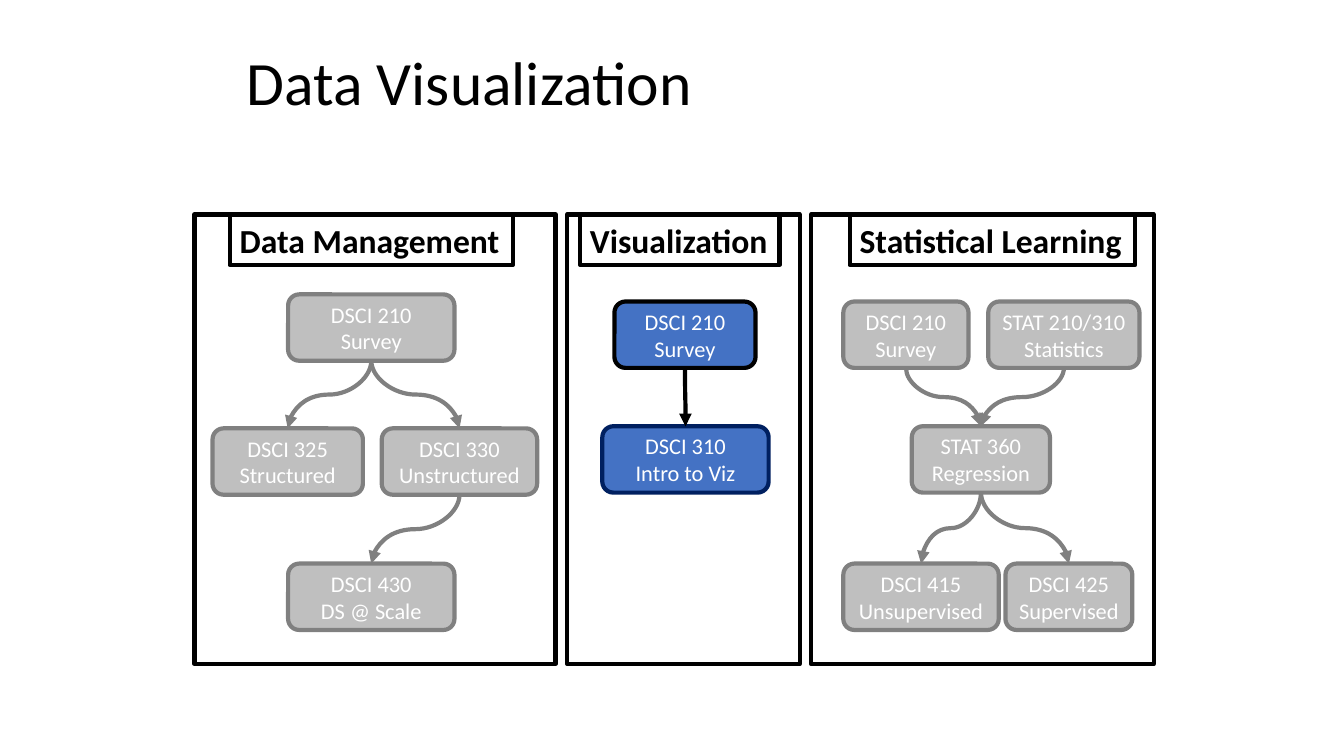
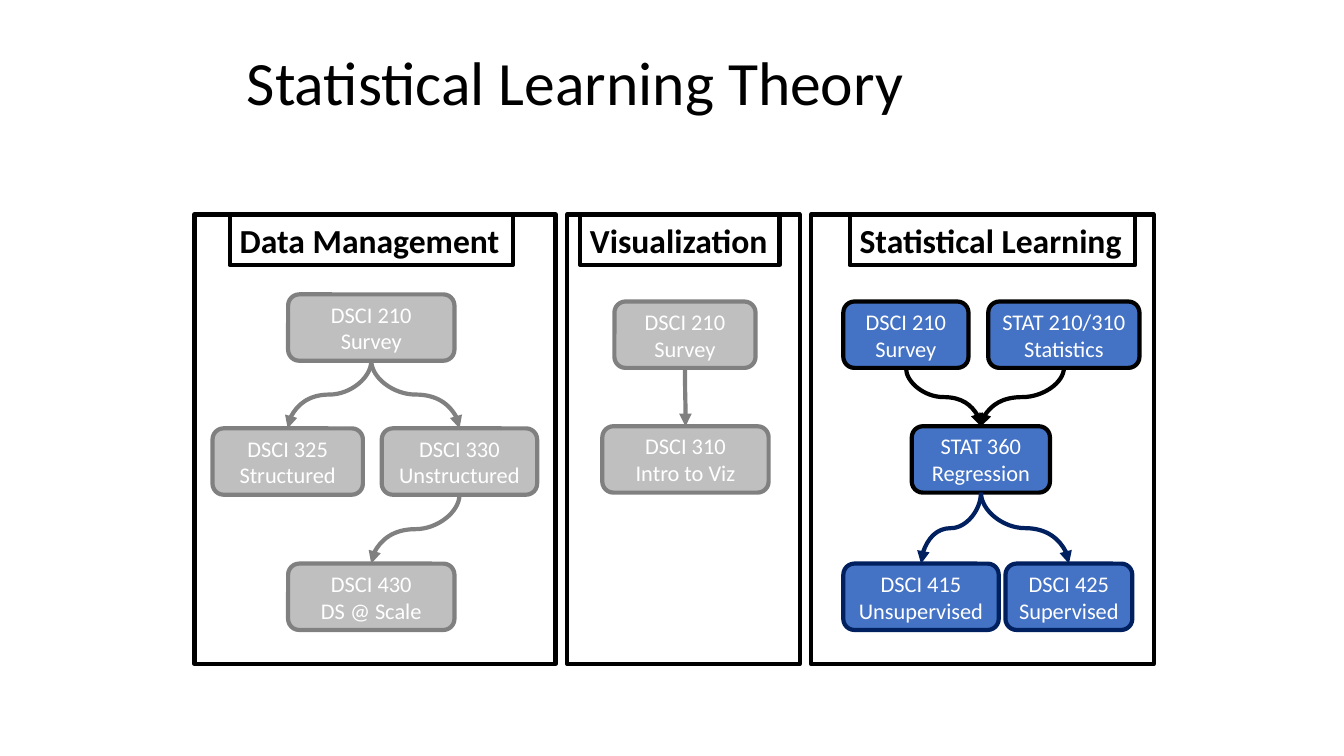
"""Build two slides of course pathways, each highlighting one panel."""
from dataclasses import dataclass

from lxml.etree import SubElement
from pptx import Presentation
from pptx.dml.color import RGBColor as Rgb
from pptx.enum.shapes import MSO_CONNECTOR as Link, MSO_SHAPE as Preset
from pptx.enum.text import MSO_ANCHOR as Anchor, MSO_AUTO_SIZE as Fit, PP_ALIGN as Align
from pptx.oxml.ns import qn
from pptx.util import Inches, Pt


@dataclass(frozen=True)
class Theme:
    font: str = "Calibri"
    ink: Rgb = Rgb(0, 0, 0)
    paper: Rgb = Rgb(0xFF, 0xFF, 0xFF)
    muted_fill: Rgb = Rgb(0xBF, 0xBF, 0xBF)
    muted_line: Rgb = Rgb(0x80, 0x80, 0x80)
    active_fill: Rgb = Rgb(0x44, 0x72, 0xC4)
    navy: Rgb = Rgb(0x00, 0x20, 0x60)
    title_size: int = 44
    heading_size: int = 24
    course_size: int = 16
    stroke: int = 3


@dataclass(frozen=True)
class Course:
    code: str
    topic: str
    row: int
    column: float
    columns: float


@dataclass(frozen=True)
class Panel:
    heading: str
    columns: float
    heading_column: float
    heading_columns: float
    row_tops: tuple
    courses: tuple
    links: tuple


THEME = Theme()
GRID_COLUMNS, GRID_ROWS = 160, 90
SLIDE_WIDTH, SLIDE_HEIGHT = Inches(13.333), Inches(7.5)
CELL = SLIDE_HEIGHT / GRID_ROWS
FIRST_COLUMN, PANEL_GAP = 23.15, 1.35
PANEL_TOP, PANEL_ROWS, HEADING_ROWS, COURSE_ROWS = 25.55, 53.5, 6, 7.9
BOTTOM_SITE, TOP_SITE = 2, 0

PANELS = (
    Panel("Data Management", 43, 4.2, 33.7, (35.05, 51, 67.1),
          (Course("DSCI 210", "Survey", 0, 11.15, 19.8),
           Course("DSCI 325", "Structured", 1, 2.15, 17.9),
           Course("DSCI 330", "Unstructured", 1, 22.3, 18.5),
           Course("DSCI 430", "DS @ Scale", 2, 11.15, 19.8)),
          ((0, 1), (0, 2), (2, 3))),
    Panel("Visualization", 27.7, 1.55, 23.75, (35.9, 50.75),
          (Course("DSCI 210", "Survey", 0, 5.65, 16.8),
           Course("DSCI 310", "Intro to Viz", 1, 4.2, 19.8)),
          ((0, 1),)),
    Panel("Statistical Learning", 40.8, 4.6, 34, (35.9, 50.75, 67.1),
          (Course("DSCI 210", "Survey", 0, 3.85, 14.9),
           Course("STAT 210/310", "Statistics", 0, 21.1, 18),
           Course("STAT 360", "Regression", 1, 12, 16.45),
           Course("DSCI 415", "Unsupervised", 2, 3.85, 18.5),
           Course("DSCI 425", "Supervised", 2, 23.15, 15.1)),
          ((0, 2), (1, 2), (2, 3), (2, 4))),
)

SLIDES = (("Data Visualization", "Visualization"),
          ("Statistical Learning Theory", "Statistical Learning"))


def cells(*lengths):
    return [round(length * CELL) for length in lengths]


def outline(part, color):
    part.line.color.rgb = color
    part.line.width = Pt(THEME.stroke)


def write(frame, lines, size, color, bold=False, align=Align.LEFT):
    frame.text = "\n".join(lines)
    for paragraph in frame.paragraphs:
        paragraph.alignment = align
        font = paragraph.font
        font.name, font.size, font.bold = THEME.font, Pt(size), bold
        font.color.rgb = color


def add_title(slide, text):
    frame = slide.shapes.add_textbox(*cells(28.2, 4.8, 103.5, 10.7)).text_frame
    frame.word_wrap = True
    frame.vertical_anchor = Anchor.MIDDLE
    write(frame, [text], THEME.title_size, THEME.ink)
    frame.paragraphs[0].line_spacing = 0.9


def add_heading(shapes, panel, left):
    heading = shapes.add_textbox(*cells(left + panel.heading_column, PANEL_TOP,
                                        panel.heading_columns, HEADING_ROWS))
    outline(heading, THEME.ink)
    frame = heading.text_frame
    frame.word_wrap = False
    frame.auto_size = Fit.SHAPE_TO_FIT_TEXT
    write(frame, [panel.heading], THEME.heading_size, THEME.ink, bold=True)


def add_course(shapes, course, left, top, fill, edge):
    box = shapes.add_shape(Preset.ROUNDED_RECTANGLE,
                           *cells(left + course.column, top, course.columns, COURSE_ROWS))
    box.shadow.inherit = False
    box.fill.solid()
    box.fill.fore_color.rgb = fill
    outline(box, edge)
    box.text_frame.vertical_anchor = Anchor.MIDDLE
    write(box.text_frame, [course.code, course.topic], THEME.course_size,
          THEME.paper, align=Align.CENTER)
    return box


def add_arrow(shapes, source, target, color):
    start_x, start_y = source.left + source.width // 2, source.top + source.height
    end_x, end_y = target.left + target.width // 2, target.top
    arrow = shapes.add_connector(Link.CURVE, start_x, start_y, end_x, end_y)
    arrow.begin_connect(source, BOTTOM_SITE)
    arrow.end_connect(target, TOP_SITE)
    drop, shift = end_y - start_y, abs(end_x - start_x)
    arrow.left = (start_x + end_x - drop) // 2
    arrow.top = (start_y + end_y - shift) // 2
    arrow.width, arrow.height = drop, shift
    rightward = end_x > start_x
    properties = arrow.element.spPr
    turn = properties.find(qn("a:xfrm"))
    turn.set("rot", str((270 if rightward else 90) * 60000))
    turn.set("flipH", str(int(rightward)))
    turn.set("flipV", "0")
    outline(arrow, color)
    SubElement(properties.find(qn("a:ln")), qn("a:tailEnd"), type="triangle")
    SubElement(properties, qn("a:effectLst"))


def add_frame(shapes, panel, left):
    frame = shapes.add_shape(Preset.RECTANGLE,
                             *cells(left, PANEL_TOP, panel.columns, PANEL_ROWS))
    frame.shadow.inherit = False
    frame.fill.background()
    outline(frame, THEME.ink)


def add_panel(slide, panel, left, active):
    shapes = slide.shapes.add_group_shape().shapes
    add_heading(shapes, panel, left)
    sources = {source for source, _ in panel.links}
    fill = THEME.active_fill if active else THEME.muted_fill

    def tint(early):
        if not active:
            return THEME.muted_line
        return THEME.ink if early else THEME.navy

    boxes = [add_course(shapes, course, left, panel.row_tops[course.row], fill,
                        tint(index in sources))
             for index, course in enumerate(panel.courses)]
    for source, target in panel.links:
        add_arrow(shapes, boxes[source], boxes[target],
                  tint(panel.courses[source].row == 0))
    add_frame(shapes, panel, left)


def main():
    deck = Presentation()
    deck.slide_width, deck.slide_height = SLIDE_WIDTH, SLIDE_HEIGHT
    blank = deck.slide_layouts[6]
    for title, highlighted in SLIDES:
        slide = deck.slides.add_slide(blank)
        add_title(slide, title)
        left = FIRST_COLUMN
        for panel in PANELS:
            add_panel(slide, panel, left, panel.heading == highlighted)
            left += panel.columns + PANEL_GAP
    deck.save("out.pptx")


if __name__ == "__main__":
    main()
